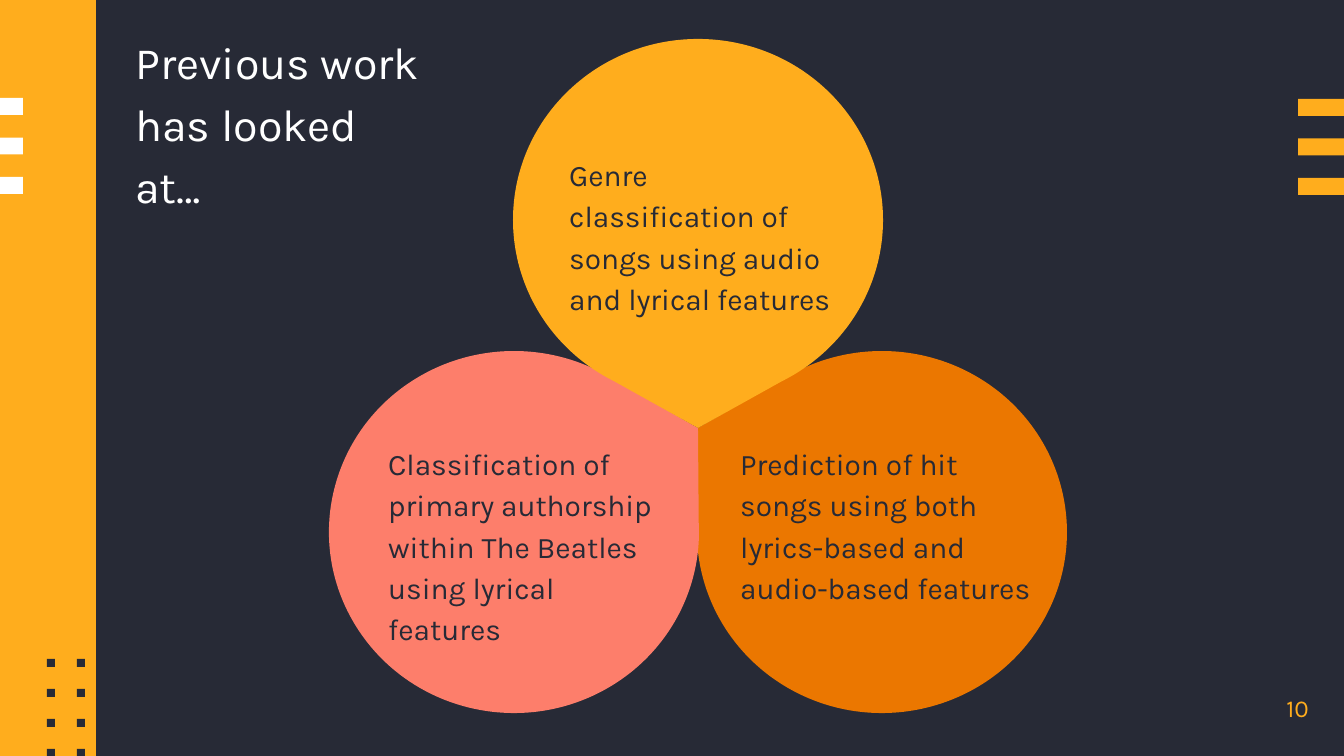
import itertools
import math

import pptx
import pptx.dml.color
import pptx.enum.shapes
import pptx.enum.text
import pptx.oxml.ns
import pptx.util
from lxml import etree

EMU_PER_PX = 914400 / 134.4
WIDTH, HEIGHT = 1344, 756

NAVY = "272A36"
AMBER = "FFAD1D"
ORANGE = "EB7700"
CORAL = "FD7E6B"
WHITE = "FFFFFF"

TIP = (698, 428)  # where the three petals meet
RADIUS_X, RADIUS_Y = 185, 181


def px(length):
    return pptx.util.Emu(round(length * EMU_PER_PX))


def rgb(hex_code):
    return pptx.dml.color.RGBColor.from_string(hex_code)


def paint(shape, color):
    """Give a shape a flat fill without outline or shadow."""
    shape.shadow.inherit = False
    shape.fill.solid()
    shape.fill.fore_color.rgb = rgb(color)
    shape.line.fill.background()


def add_block(slide, left, top, width, height, color):
    block = slide.shapes.add_shape(
        pptx.enum.shapes.MSO_SHAPE.RECTANGLE,
        px(left), px(top), px(width), px(height))
    paint(block, color)


def add_stripes(slide, left, top, width, color):
    for row in range(3):
        add_block(slide, left, top + row * 39.5, width, 17, color)


def add_dots(slide):
    for row, column in itertools.product(range(4), range(4)):
        add_block(slide, 47 + column * 30, 659 + row * 30, 8, 8, NAVY)


def arc_controls(center, start, end):
    """Return the two handles and the end point of one elliptical arc."""
    a, b = math.radians(start), math.radians(end)
    reach = 4 / 3 * math.tan((b - a) / 4)
    unit_points = [
        (math.cos(a) - reach * math.sin(a), math.sin(a) + reach * math.cos(a)),
        (math.cos(b) + reach * math.sin(b), math.sin(b) - reach * math.cos(b)),
        (math.cos(b), math.sin(b)),
    ]
    return [(px(center[0] + RADIUS_X * x), px(center[1] + RADIUS_Y * y))
            for x, y in unit_points]


def bend(shape):
    """Turn all line segments after the first into curves, three to a curve."""
    qn = pptx.oxml.ns.qn
    segments = list(shape.element.iter(qn("a:lnTo")))[1:]
    for first in range(0, len(segments), 3):
        curve = etree.Element(qn("a:cubicBezTo"))
        segments[first].addprevious(curve)
        for segment in segments[first:first + 3]:
            curve.append(segment[0])
            segment.getparent().remove(segment)


def add_petal(slide, center, direction, color):
    """Draw an ellipse that opens towards TIP at the given angle in degrees."""
    stops = [direction + turn for turn in (27, 90, 180, 270, 333)]
    start = math.radians(stops[0])
    points = [(px(center[0] + RADIUS_X * math.cos(start)),
               px(center[1] + RADIUS_Y * math.sin(start)))]
    for begin, end in zip(stops, stops[1:]):
        points += arc_controls(center, begin, end)
    outline = slide.shapes.build_freeform(px(TIP[0]), px(TIP[1]), scale=1.0)
    outline.add_line_segments(points, close=True)
    petal = outline.convert_to_shape()
    bend(petal)
    paint(petal, color)


def add_text(slide, text, left, top, width, height, *, size, color=NAVY,
             spacing=1.15, insets=(13.44, 6.72), centered=False):
    box = slide.shapes.add_textbox(px(left), px(top), px(width), px(height))
    frame = box.text_frame
    frame.word_wrap = True
    frame.margin_left = frame.margin_right = px(insets[0])
    frame.margin_top = frame.margin_bottom = px(insets[1])
    paragraph = frame.paragraphs[0]
    paragraph.line_spacing = spacing
    if centered:
        frame.vertical_anchor = pptx.enum.text.MSO_ANCHOR.MIDDLE
        paragraph.alignment = pptx.enum.text.PP_ALIGN.CENTER
    run = paragraph.add_run()
    run.text = text
    run.font.name = "Karla"
    run.font.size = pptx.util.Pt(size)
    run.font.color.rgb = rgb(color)


def main():
    deck = pptx.Presentation()
    deck.slide_width, deck.slide_height = px(WIDTH), px(HEIGHT)
    slide = deck.slides.add_slide(deck.slide_layouts[6])
    slide.background.fill.solid()
    slide.background.fill.fore_color.rgb = rgb(NAVY)

    add_block(slide, 0, 0, 96, HEIGHT, AMBER)
    add_stripes(slide, 0, 98, 23, WHITE)
    add_dots(slide)
    add_stripes(slide, 1298, 99, 46, AMBER)
    add_text(slide, "10", 1250, 660, 95, 95, size=13, color=AMBER,
             spacing=1.0, insets=(0, 0), centered=True)

    add_petal(slide, (882, 532), 210, ORANGE)
    add_petal(slide, (514, 532), -30, CORAL)
    add_petal(slide, (698, 220), 90, AMBER)

    add_text(slide,
             "Genre classification of songs using audio and lyrical features",
             556, 145, 293, 134, size=16)
    add_text(slide,
             "Classification of primary authorship within The Beatles "
             "using lyrical features",
             375, 434, 310, 176, size=16)
    add_text(slide,
             "Prediction of hit songs using both lyrics-based and "
             "audio-based features",
             727, 434, 328, 176, size=16)
    add_text(slide, "Previous work has looked at…",
             122, 20, 324, 132, size=24, color=WHITE)

    deck.save("out.pptx")


if __name__ == "__main__":
    main()
